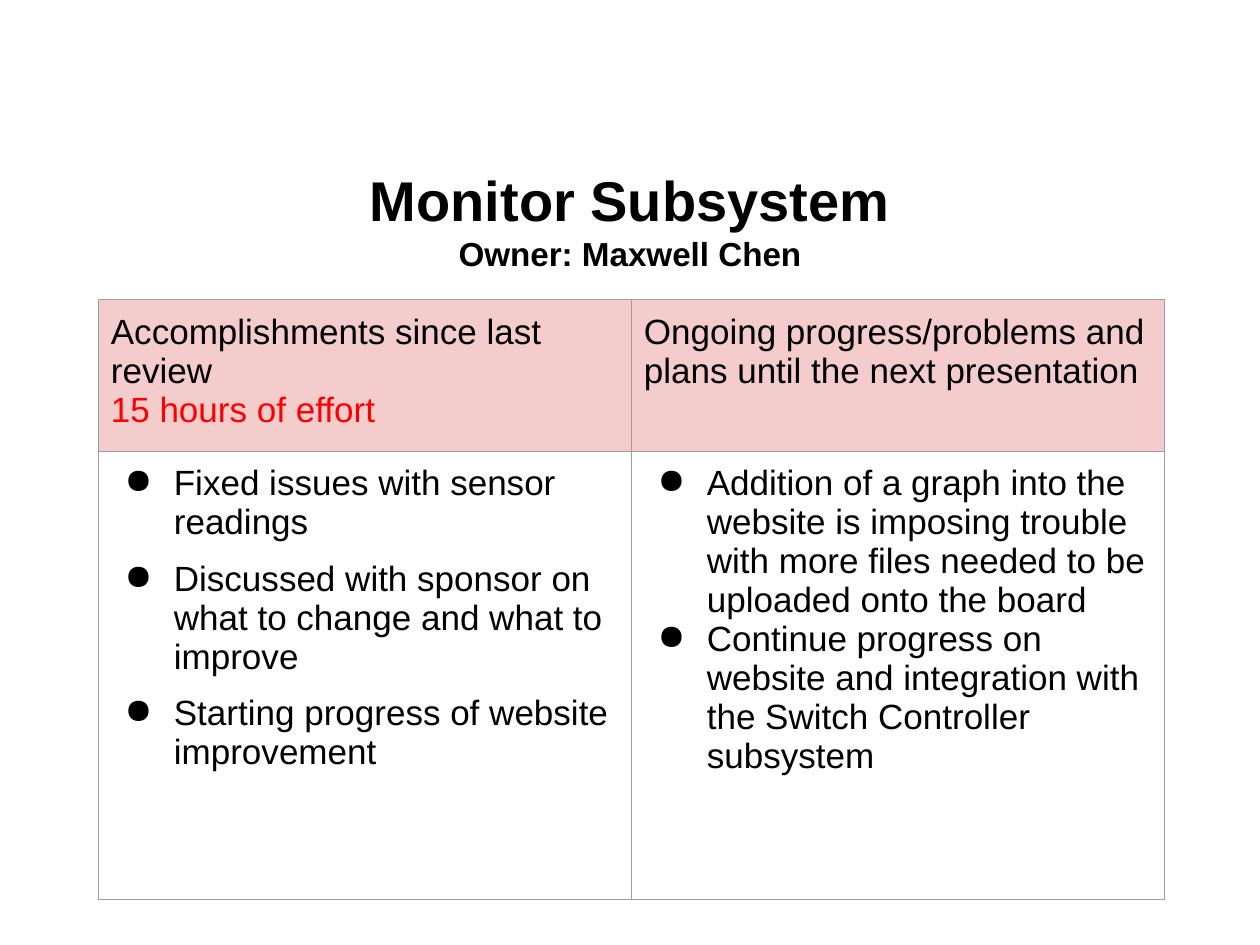
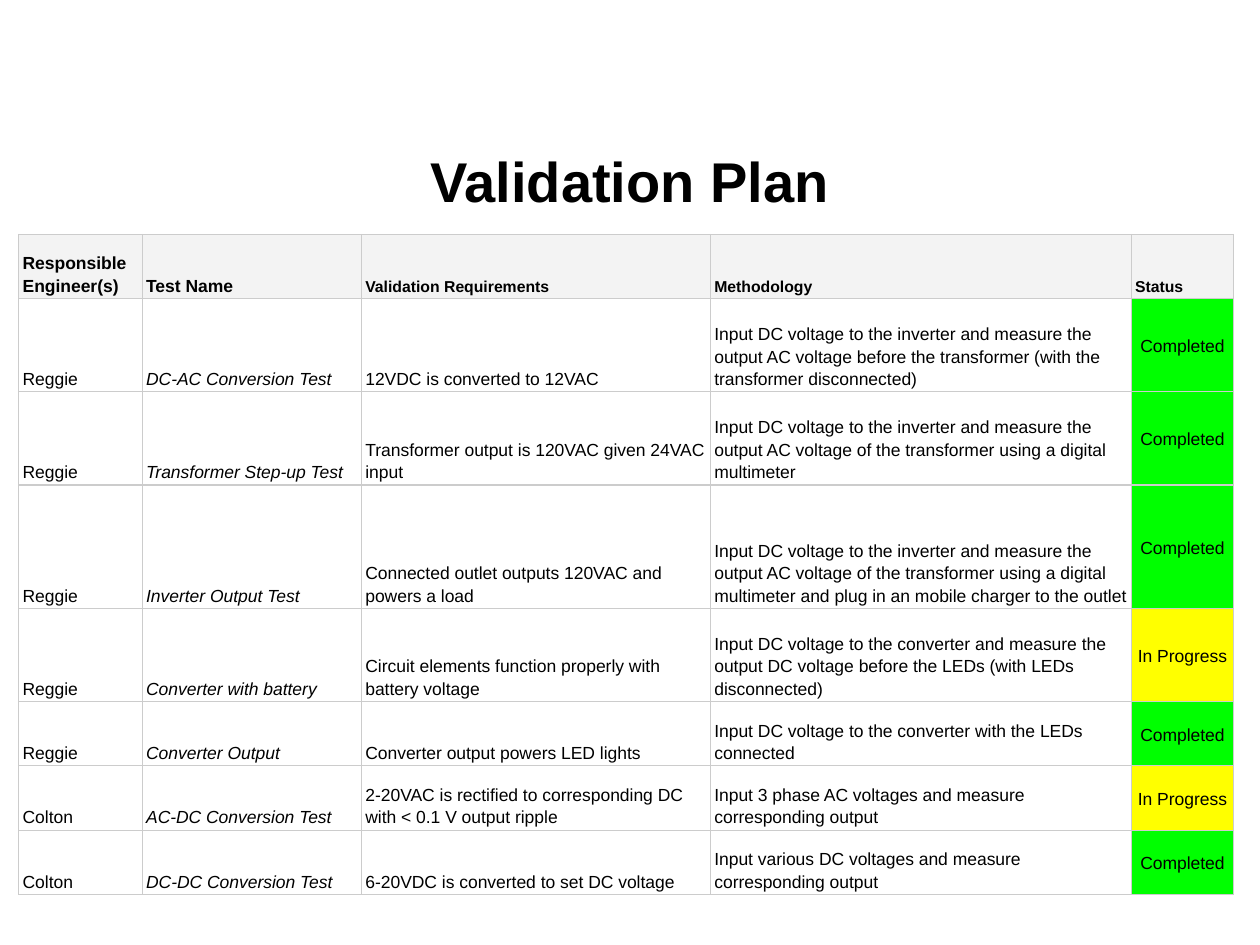
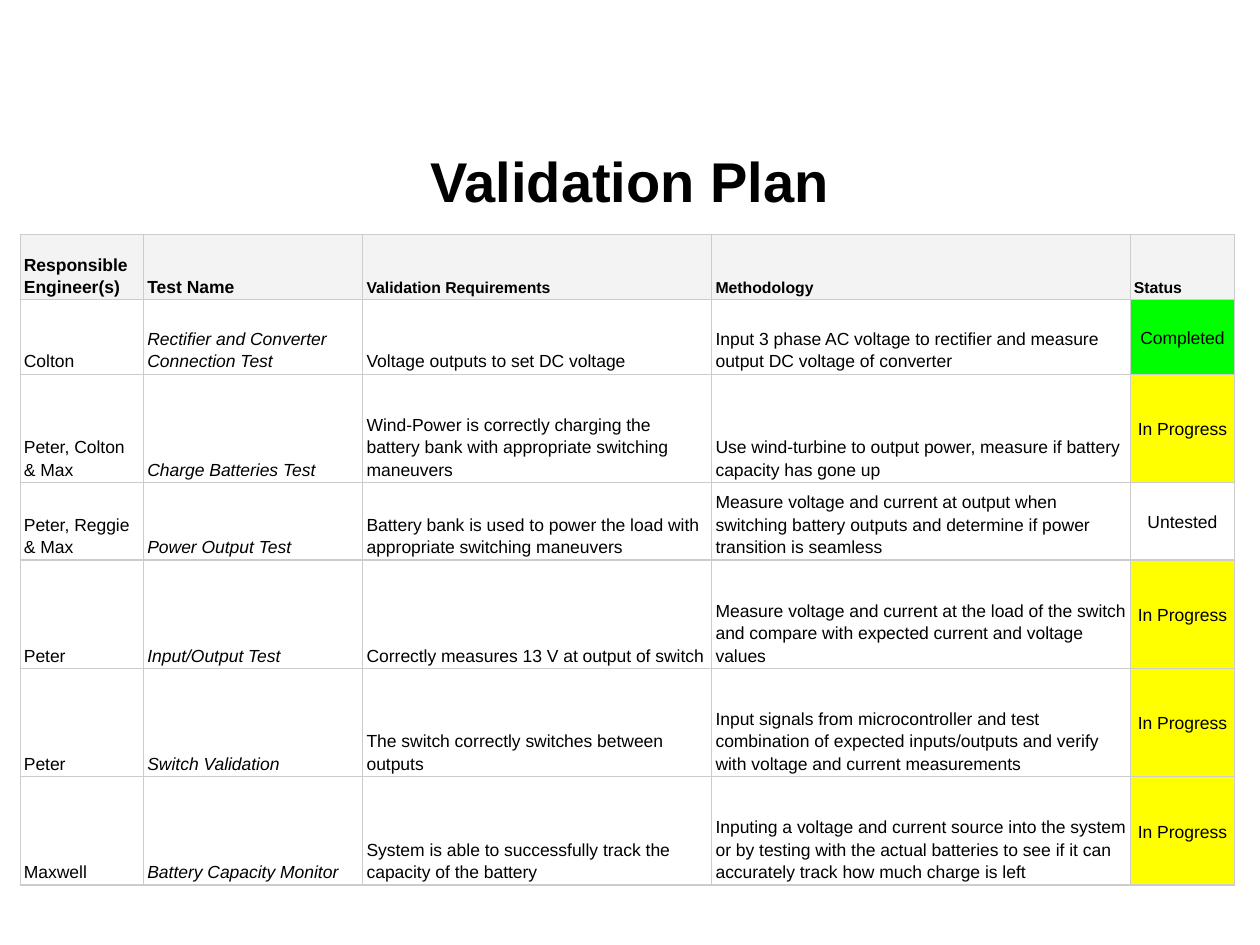
from dataclasses import dataclass

from lxml import etree
from pptx import Presentation
from pptx.dml.color import RGBColor
from pptx.enum.text import MSO_ANCHOR, PP_ALIGN
from pptx.oxml.ns import qn
from pptx.util import Inches, Pt

LEFT, CENTER = PP_ALIGN.LEFT, PP_ALIGN.CENTER
TOP, MIDDLE, BOTTOM = MSO_ANCHOR.TOP, MSO_ANCHOR.MIDDLE, MSO_ANCHOR.BOTTOM


@dataclass(frozen=True)
class Theme:
    font: str = "Arial"
    ink: str = "000000"
    effort: str = "FF0000"
    review_header: str = "F4CCCC"
    review_border: str = "9E9E9E"
    plan_header: str = "F3F3F3"
    plan_border: str = "CCCCCC"
    completed: str = "00FF00"
    in_progress: str = "FFFF00"
    title_size: int = 32
    owner_size: int = 19
    review_size: int = 20
    plan_size: int = 10
    plan_small_size: int = 9
    border_width: float = 0.75


THEME = Theme()
STATUS_FILLS = {"Completed": THEME.completed, "In Progress": THEME.in_progress}

# Headings of the validation plan with their type sizes
PLAN_HEADINGS = [
    ("Responsible Engineer(s)", THEME.plan_size),
    ("Test Name", THEME.plan_size),
    ("Validation Requirements", THEME.plan_small_size),
    ("Methodology", THEME.plan_small_size),
    ("Status", THEME.plan_small_size),
]

# Engineer, test, requirement, methodology, status
POWER_TESTS = [
    ("Reggie", "DC-AC Conversion Test", "12VDC is converted to 12VAC",
     "Input DC voltage to the inverter and measure the output AC voltage before "
     "the transformer (with the transformer disconnected)", "Completed"),
    ("Reggie", "Transformer Step-up Test",
     "Transformer output is 120VAC given 24VAC\ninput",
     "Input DC voltage to the inverter and measure the output AC voltage of the "
     "transformer using a digital multimeter", "Completed"),
    ("Reggie", "Inverter Output Test",
     "Connected outlet outputs 120VAC and powers a load",
     "Input DC voltage to the inverter and measure the output AC voltage of the "
     "transformer using a digital multimeter and plug in an mobile charger to "
     "the outlet", "Completed"),
    ("Reggie", "Converter with battery",
     "Circuit elements function properly with battery voltage",
     "Input DC voltage to the converter and measure the output DC voltage before "
     "the LEDs (with LEDs disconnected)", "In Progress"),
    ("Reggie", "Converter Output", "Converter output powers LED lights",
     "Input DC voltage to the converter with the LEDs connected", "Completed"),
    ("Colton", "AC-DC Conversion Test",
     "2-20VAC is rectified to corresponding DC with < 0.1 V output ripple",
     "Input 3 phase AC voltages and measure corresponding output", "In Progress"),
    ("Colton", "DC-DC Conversion Test", "6-20VDC is converted to set DC voltage",
     "Input various DC voltages and measure corresponding output", "Completed"),
]
SYSTEM_TESTS = [
    ("Colton", "Rectifier and Converter Connection Test",
     "Voltage outputs to set DC voltage",
     "Input 3 phase AC voltage to rectifier and measure output DC voltage of "
     "converter", "Completed"),
    ("Peter, Colton & Max", "Charge Batteries Test",
     "Wind-Power is correctly charging the battery bank with appropriate "
     "switching maneuvers",
     "Use wind-turbine to output power, measure if battery capacity has gone up",
     "In Progress"),
    ("Peter, Reggie & Max", "Power Output Test",
     "Battery bank is used to power the load with appropriate switching maneuvers",
     "Measure voltage and current at output when switching battery outputs and "
     "determine if power transition is seamless", "Untested"),
    ("Peter", "Input/Output Test", "Correctly measures 13 V at output of switch",
     "Measure voltage and current at the load of the switch and compare with "
     "expected current and voltage values", "In Progress"),
    ("Peter", "Switch Validation", "The switch correctly switches between outputs",
     "Input signals from microcontroller and test combination of expected "
     "inputs/outputs and verify with voltage and current measurements",
     "In Progress"),
    ("Maxwell", "Battery Capacity Monitor",
     "System is able to successfully track the capacity of the battery",
     "Inputing a voltage and current source into the system or by testing with "
     "the actual batteries to see if it can accurately track how much charge is "
     "left", "In Progress"),
]


def add_bullet(paragraph):
    properties = paragraph._p.get_or_add_pPr()
    properties.set("marL", str(Inches(0.5)))
    properties.set("indent", str(Inches(-0.39)))
    etree.SubElement(properties, qn("a:buChar"), char="●")


def write_text(frame, text, *, size, color=THEME.ink, bold=False, italic=False,
               align=LEFT, line_spacing=1.0, gap=0, bullet=False, append=False):
    """Write one paragraph per line of text, with a gap between them."""
    for index, line in enumerate(text.split("\n")):
        fresh = index == 0 and not append
        paragraph = frame.paragraphs[0] if fresh else frame.add_paragraph()
        if bullet:
            add_bullet(paragraph)
        paragraph.alignment = align
        paragraph.line_spacing = line_spacing
        paragraph.space_before = Pt(0 if fresh else gap)
        run = paragraph.add_run()
        run.text = line
        font = run.font
        font.name, font.size = THEME.font, Pt(size)
        font.bold, font.italic = bold, italic
        font.color.rgb = RGBColor.from_string(color)


def add_title(slide, title, top, height, owner=None):
    box = slide.shapes.add_textbox(Inches(0.5), Inches(top), Inches(9), Inches(height))
    frame = box.text_frame
    frame.word_wrap = True
    frame.vertical_anchor = MIDDLE
    write_text(frame, title, size=THEME.title_size, bold=True, align=CENTER)
    if owner:
        write_text(frame, owner, size=THEME.owner_size, bold=True, align=CENTER,
                   append=True)


def add_grid(slide, left, top, widths, heights):
    table = slide.shapes.add_table(
        len(heights), len(widths), Inches(left), Inches(top),
        Inches(sum(widths)), Inches(sum(heights))).table
    table.first_row = table.horz_banding = False
    for column, width in zip(table.columns, widths):
        column.width = Inches(width)
    for row, height in zip(table.rows, heights):
        row.height = Inches(height)
    return table


def style_cell(cell, border, fill=None, anchor=TOP, margins=(0.1, 0.1)):
    cell.vertical_anchor = anchor
    cell.margin_left = cell.margin_right = Inches(margins[0])
    cell.margin_top = cell.margin_bottom = Inches(margins[1])
    properties = cell._tc.get_or_add_tcPr()
    for side in ("a:lnL", "a:lnR", "a:lnT", "a:lnB"):
        line = etree.SubElement(properties, qn(side), w=str(Pt(THEME.border_width)))
        solid = etree.SubElement(line, qn("a:solidFill"))
        etree.SubElement(solid, qn("a:srgbClr"), val=border)
    if fill:
        cell.fill.solid()
        cell.fill.fore_color.rgb = RGBColor.from_string(fill)
    else:
        cell.fill.background()


def add_review_table(slide, headings, effort, accomplishments, plans):
    table = add_grid(slide, 0.78, 2.38, [4.23] * 2, [1.13, 3.56])
    for column, heading in enumerate(headings):
        header, body = table.cell(0, column), table.cell(1, column)
        style_cell(header, THEME.review_border, THEME.review_header)
        style_cell(body, THEME.review_border)
        write_text(header.text_frame, heading, size=THEME.review_size)
    write_text(table.cell(0, 0).text_frame, effort, size=THEME.review_size,
               color=THEME.effort, append=True)
    write_text(table.cell(1, 0).text_frame, "\n".join(accomplishments),
               size=THEME.review_size, gap=10, bullet=True)
    write_text(table.cell(1, 1).text_frame, "\n".join(plans),
               size=THEME.review_size, bullet=True)


def add_plan_cell(cell, text, fill=None, anchor=BOTTOM, **text_format):
    style_cell(cell, THEME.plan_border, fill, anchor, margins=(0.03, 0.02))
    write_text(cell.text_frame, text, line_spacing=1.15, **text_format)


def add_plan_slide(slide, left, widths, heights, tests):
    add_title(slide, "Validation Plan", 0.99, 0.88)
    table = add_grid(slide, left, 1.86, widths, heights)
    for column, (heading, size) in enumerate(PLAN_HEADINGS):
        add_plan_cell(table.cell(0, column), heading, THEME.plan_header,
                      size=size, bold=True)
    for row, (*details, status) in enumerate(tests, start=1):
        for column, detail in enumerate(details):
            add_plan_cell(table.cell(row, column), detail,
                          size=THEME.plan_size, italic=column == 1)
        add_plan_cell(table.cell(row, len(details)), status,
                      STATUS_FILLS.get(status), MIDDLE,
                      size=THEME.plan_size, align=CENTER)


def main():
    deck = Presentation()
    deck.slide_width, deck.slide_height = Inches(10), Inches(7.5)
    blank = deck.slide_layouts[6]

    # Monitor subsystem review
    review = deck.slides.add_slide(blank)
    add_title(review, "Monitor Subsystem", 1.15, 1.18, owner="Owner: Maxwell Chen")
    add_review_table(
        review,
        headings=["Accomplishments since last review",
                  "Ongoing progress/problems and plans until the next presentation"],
        effort="15 hours of effort",
        accomplishments=[
            "Fixed issues with sensor readings",
            "Discussed with sponsor on what to change and what to improve",
            "Starting progress of website improvement"],
        plans=[
            "Addition of a graph into the website is imposing trouble with more "
            "files needed to be uploaded onto the board",
            "Continue progress on website and integration with the Switch "
            "Controller subsystem"])

    # Validation plan: conversion tests, then system tests
    add_plan_slide(deck.slides.add_slide(blank), 0.15,
                   [0.98, 1.74, 2.77, 3.34, 0.81],
                   [0.51, 0.74, 0.74, 0.98, 0.74, 0.51, 0.51, 0.51], POWER_TESTS)
    add_plan_slide(deck.slides.add_slide(blank), 0.16,
                   [0.98, 1.74, 2.77, 3.32, 0.83],
                   [0.52, 0.59, 0.86, 0.59, 0.86, 0.86, 0.86], SYSTEM_TESTS)

    deck.save("out.pptx")


if __name__ == "__main__":
    main()
